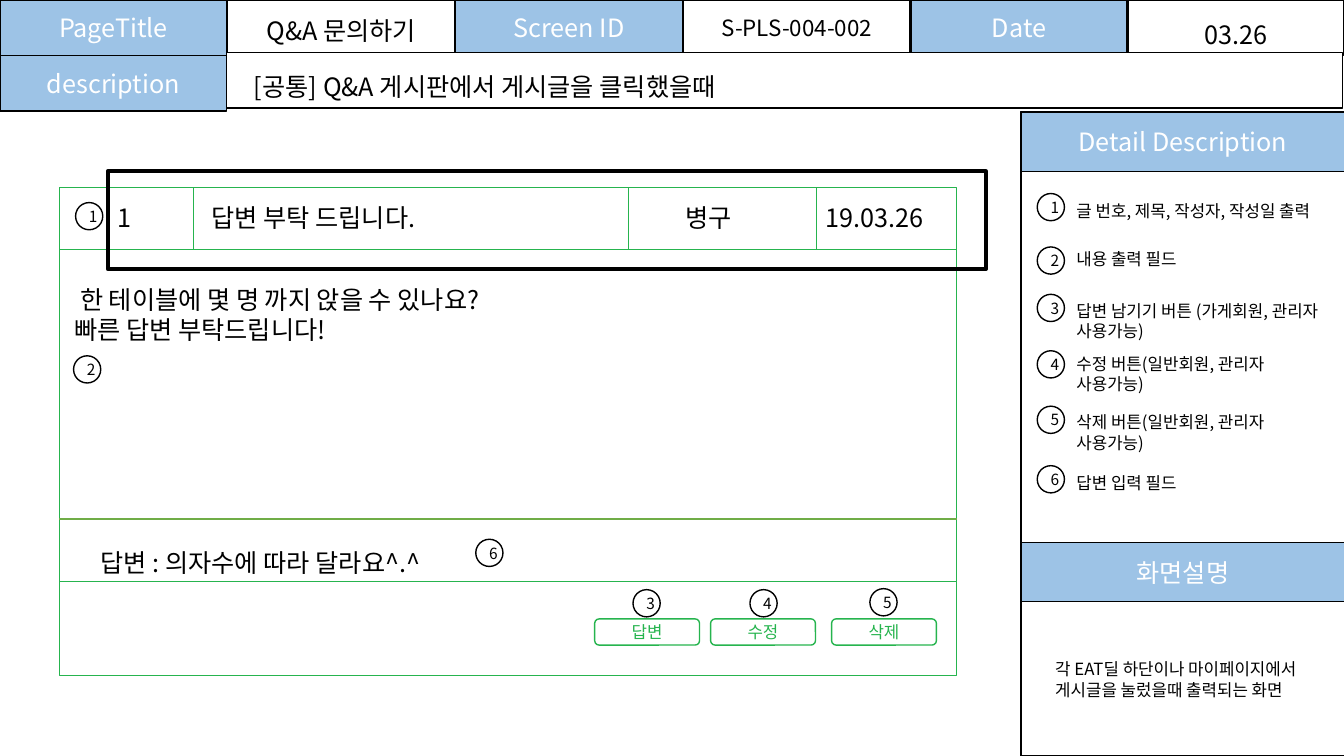
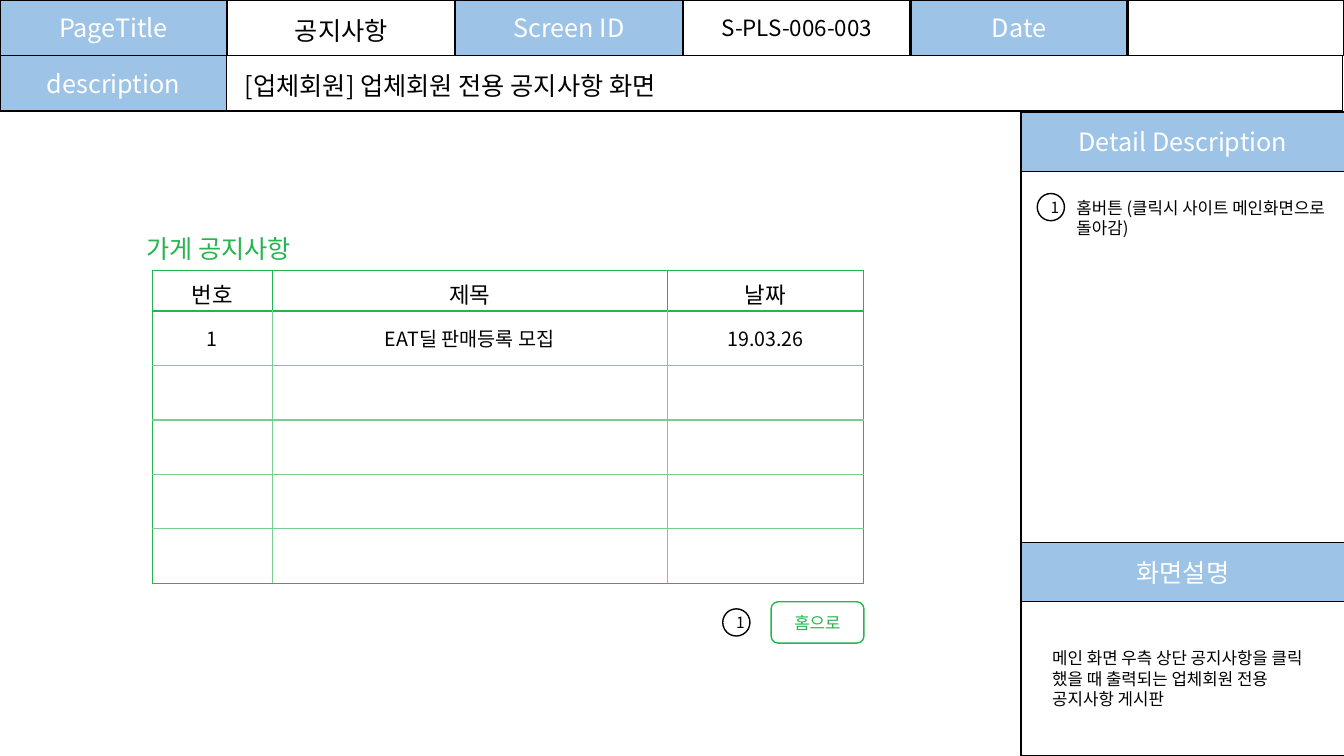
import pptx
import pptx.dml.color
import pptx.enum.shapes
import pptx.enum.text
import pptx.oxml.ns
import pptx.util
from lxml import etree

RGBColor = pptx.dml.color.RGBColor
WHITE = RGBColor(0xFF, 0xFF, 0xFF)
BLACK = RGBColor(0x00, 0x00, 0x00)
BLUE = RGBColor(0x9D, 0xC3, 0xE6)
GREEN = RGBColor(0x26, 0xB4, 0x4E)
PALE_GREEN = RGBColor(0x77, 0xCE, 0x8F)
OLIVE_GREEN = RGBColor(0x70, 0xAD, 0x47)

FONT = "Noto Sans CJK KR"
SHAPE = pptx.enum.shapes.MSO_SHAPE
ALIGN = pptx.enum.text.PP_ALIGN
ANCHOR = pptx.enum.text.MSO_ANCHOR

COLUMNS, ROWS = 133.33, 75
HEADER_HEIGHT = 5.5
LABEL_WIDTH = 22.5
PANEL_LEFT, PANEL_WIDTH = 101.3, 32.1
PANEL_HEADING_HEIGHT = 5.9
MARKER_SIZE = 2.7


def grid(cells):
    return pptx.util.Inches(cells / 10)


def place(left, top, width, height):
    return [grid(cells) for cells in (left, top, width, height)]


def add_element(parent, tag, **attributes):
    return etree.SubElement(parent, pptx.oxml.ns.qn(tag), attributes)


def write(frame, text, size=18, color=BLACK, align=ALIGN.LEFT):
    for index, line in enumerate(text.split("\n")):
        paragraph = frame.add_paragraph() if index else frame.paragraphs[0]
        paragraph.alignment = align
        run = paragraph.add_run()
        run.text = line
        run.font.name = FONT
        run.font.size = pptx.util.Pt(size)
        run.font.color.rgb = color
        add_element(run.font._element, "a:ea", typeface=FONT)


def style_box(shape, fill=WHITE, line=BLACK, line_width=1):
    if fill is None:
        shape.fill.background()
    else:
        shape.fill.solid()
        shape.fill.fore_color.rgb = fill
    shape.line.color.rgb = line
    shape.line.width = pptx.util.Pt(line_width)


def write_in_box(shape, text, drop=0, indent=1, **text_format):
    frame = shape.text_frame
    frame.word_wrap = True
    frame.auto_size = pptx.enum.text.MSO_AUTO_SIZE.NONE
    frame.vertical_anchor = ANCHOR.MIDDLE
    frame.margin_left, frame.margin_right = grid(indent), grid(1)
    frame.margin_top, frame.margin_bottom = grid(2 * drop), 0
    write(frame, text, **{"align": ALIGN.CENTER, **text_format})


def add_box(slide, area, text="", kind=SHAPE.RECTANGLE, fill=WHITE,
            line=BLACK, line_width=1, **text_format):
    shape = slide.shapes.add_shape(kind, *place(*area))
    shape.shadow.inherit = False
    style_box(shape, fill, line, line_width)
    if text:
        write_in_box(shape, text, **text_format)
    return shape


def add_text(slide, left, top, width, height, text, **text_format):
    frame = slide.shapes.add_textbox(*place(left, top, width, height)).text_frame
    frame.word_wrap = True
    write(frame, text, **text_format)


def add_line(slide, start, end, color=GREEN, width=0.5):
    points = [grid(cells) for cells in (*start, *end)]
    connector = slide.shapes.add_connector(
        pptx.enum.shapes.MSO_CONNECTOR.STRAIGHT, *points)
    connector.line.color.rgb = color
    connector.line.width = pptx.util.Pt(width)
    add_element(connector._element.spPr, "a:effectLst")


def add_marker(slide, left, top, number):
    add_box(slide, (left, top, MARKER_SIZE, MARKER_SIZE), str(number),
            kind=SHAPE.OVAL, size=11)


def add_button(slide, area, text):
    button = add_box(slide, area, text, kind=SHAPE.ROUNDED_RECTANGLE,
                     line=GREEN, size=12, color=GREEN)
    fill_color = button._element.spPr.find(
        pptx.oxml.ns.qn("a:solidFill"))[0]
    add_element(fill_color, "a:alpha", val="66000")


def add_label(slide, area, text):
    add_box(slide, area, text, fill=BLUE, color=WHITE)


def add_header(slide, title, screen_id, date, description,
               description_top, description_indent, description_drop):
    title_shape = slide.shapes.title
    (title_shape.left, title_shape.top,
     title_shape.width, title_shape.height) = place(22.6, 0, LABEL_WIDTH, HEADER_HEIGHT)
    style_box(title_shape)
    write_in_box(title_shape, title, drop=0.25)

    labels = [("PageTitle", 0, 0, LABEL_WIDTH), ("Screen ID", 45.2, 0, LABEL_WIDTH),
              ("Date", 90.4, 0, 21.4), ("description", 0, HEADER_HEIGHT, LABEL_WIDTH)]
    for text, left, top, width in labels:
        add_label(slide, (left, top, width, HEADER_HEIGHT), text)
    add_box(slide, (67.8, 0, LABEL_WIDTH, HEADER_HEIGHT), screen_id, size=16)
    add_box(slide, (111.9, 0, 21.4, HEADER_HEIGHT), date, drop=0.65)
    add_box(slide, (LABEL_WIDTH, description_top, 110.7, HEADER_HEIGHT), description,
            align=ALIGN.LEFT, indent=description_indent, drop=description_drop)


def add_panel(slide, details, summary, summary_left, summary_top):
    add_box(slide, (PANEL_LEFT, 11.1, PANEL_WIDTH, ROWS - 11.1))
    for top, heading in ((11.1, "Detail Description"), (53.8, "화면설명")):
        add_label(slide, (PANEL_LEFT, top, PANEL_WIDTH, PANEL_HEADING_HEIGHT), heading)
    for number, (marker_top, text_top, text) in enumerate(details, 1):
        add_marker(slide, 102.9, marker_top, number)
        add_text(slide, 105.8, text_top, 27.1, 5, text, size=12)
    add_text(slide, summary_left, summary_top, 27.9, 7.1, summary, size=12)


def set_borders(cell, **colors):
    properties = cell._tc.get_or_add_tcPr()
    for side in "LRTB":
        line = add_element(properties, f"a:ln{side}", w=str(pptx.util.Pt(1)))
        fill = add_element(line, "a:solidFill")
        add_element(fill, "a:srgbClr", val=str(colors[side]))


def add_notice_table(slide, left, top, widths, heights, content):
    last_row, last_column = len(heights) - 1, len(widths) - 1
    table = slide.shapes.add_table(
        len(heights), len(widths),
        *place(left, top, sum(widths), sum(heights))).table
    table.first_row = table.horz_banding = False
    for column, width in zip(table.columns, widths):
        column.width = grid(width)
    for row_index, height in enumerate(heights):
        table.rows[row_index].height = grid(height)
        is_header = row_index == 0
        inner = GREEN if is_header else PALE_GREEN
        for column_index in range(len(widths)):
            cell = table.cell(row_index, column_index)
            set_borders(
                cell,
                L=GREEN if column_index == 0 else inner,
                R=GREEN if column_index == last_column else inner,
                T=GREEN if row_index <= 1 else PALE_GREEN,
                B=GREEN if row_index in (0, last_row) else PALE_GREEN)
            cell.fill.background()
            cell.margin_left = cell.margin_right = grid(1.3)
            cell.margin_top = cell.margin_bottom = grid(0.7)
            cell.vertical_anchor = ANCHOR.TOP if is_header else ANCHOR.MIDDLE
            if row_index < len(content):
                write(cell.text_frame, content[row_index][column_index],
                      size=16 if is_header else 14, align=ALIGN.CENTER)


def add_post(slide):
    left, top, width, height = 5.9, 18.6, 89, 48.4
    right, heading_bottom = left + width, 24.7
    add_box(slide, (left, top, width, height), line=GREEN)
    for y in (heading_bottom, 57.7):
        add_line(slide, (left, y), (right, y))
    for x in (19.2, 62.3, 81):
        add_line(slide, (x, top), (x, heading_bottom))
    add_line(slide, (left, 51.5), (right, 51.5), OLIVE_GREEN, 1)

    for x, text_width, text in ((10.7, 3.7, "1"), (20, 38.9, "답변 부탁 드립니다."),
                                (67, 9.3, "병구"), (80.9, 11.9, "19.03.26")):
        add_text(slide, x, 19.6, text_width, 7.1, text)
    add_text(slide, 6.4, 27.7, 87.3, 7.1,
             " 한 테이블에 몇 명 까지 앉을 수 있나요?\n빠른 답변 부탁드립니다!")
    add_text(slide, 9, 53.8, 59, 4, "답변 : 의자수에 따라 달라요^.^")

    for x, text in ((59, "답변"), (70.5, "수정"), (82.5, "삭제")):
        add_button(slide, (x, 61.4, 10.4, 2.6), text)
    markers = [(7.5, 20.1), (7.3, 35.3), (62.8, 58.5),
               (74.4, 58.5), (86.3, 58.4), (47.2, 53.5)]
    for number, (x, y) in enumerate(markers, 1):
        add_marker(slide, x, y, number)
    add_box(slide, (10.7, 17, 87.1, 9.7), fill=None, line_width=3)


def add_question_slide(slide):
    add_header(slide, "Q&A 문의하기", "S-PLS-004-002", "03.26",
               "[공통] Q&A 게시판에서 게시글을 클릭했을때", 5.2, 2.7, 0.65)
    details = [
        (19.2, 19.4, "글 번호, 제목, 작성자, 작성일 출력"),
        (24.5, 24.2, "내용 출력 필드"),
        (29.2, 29.3, "답변 남기기 버튼 (가게회원, 관리자 사용가능)"),
        (34.8, 34.6, "수정 버튼(일반회원, 관리자 사용가능)"),
        (40.3, 40.4, "삭제 버튼(일반회원, 관리자 사용가능)"),
        (46.2, 46.4, "답변 입력 필드"),
    ]
    add_panel(slide, details,
              "각 EAT딜 하단이나 마이페이지에서 게시글을 눌렀을때 출력되는 화면",
              103.7, 64.9)
    add_post(slide)


def add_notice_slide(slide):
    add_header(slide, "공지사항", "S-PLS-006-003", "",
               "[업체회원] 업체회원 전용 공지사항 화면", HEADER_HEIGHT, 1.8, 0.25)
    add_panel(slide, [(19.2, 19.1, "홈버튼 (클릭시 사이트 메인화면으로 돌아감)")],
              "메인 화면 우측 상단 공지사항을 클릭 했을 때 출력되는 업체회원 전용 공지사항 게시판",
              103.4, 63.8)
    add_text(slide, 13.5, 22.7, 34.1, 4, "가게 공지사항", color=GREEN)
    add_notice_table(slide, 15.1, 26.8, [11.9, 39.2, 19.5], [4] + [5.4] * 5,
                     [("번호", "제목", "날짜"),
                      ("1", "EAT딜 판매등록 모집", "19.03.26")])
    add_button(slide, (76.5, 59.7, 9.2, 4.1), "홈으로")
    add_marker(slide, 71.7, 60.4, 1)


def main():
    presentation = pptx.Presentation()
    presentation.slide_width = grid(COLUMNS)
    presentation.slide_height = grid(ROWS)
    title_only = presentation.slide_layouts[5]
    for build in (add_question_slide, add_notice_slide):
        build(presentation.slides.add_slide(title_only))
    presentation.save("out.pptx")


if __name__ == "__main__":
    main()
